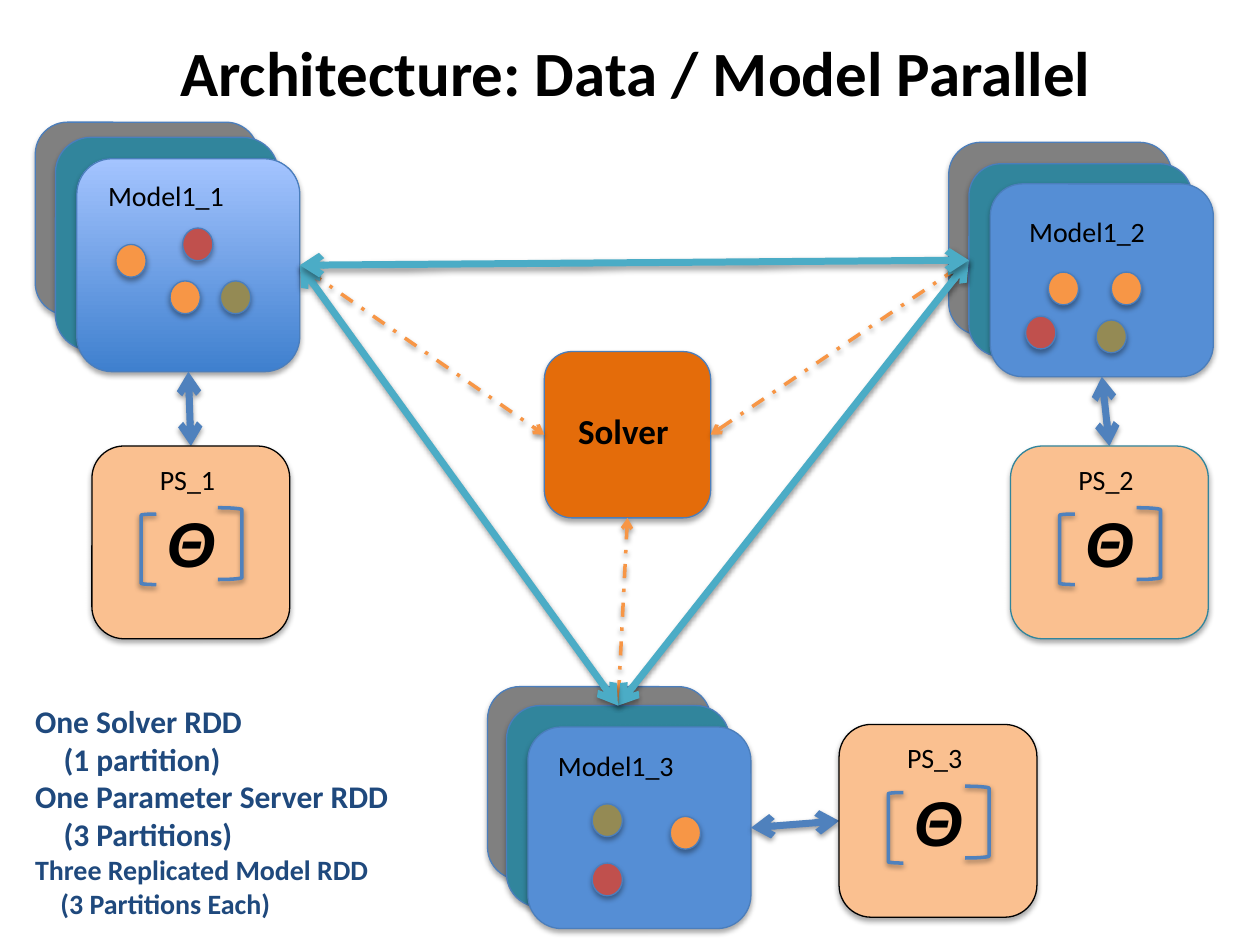
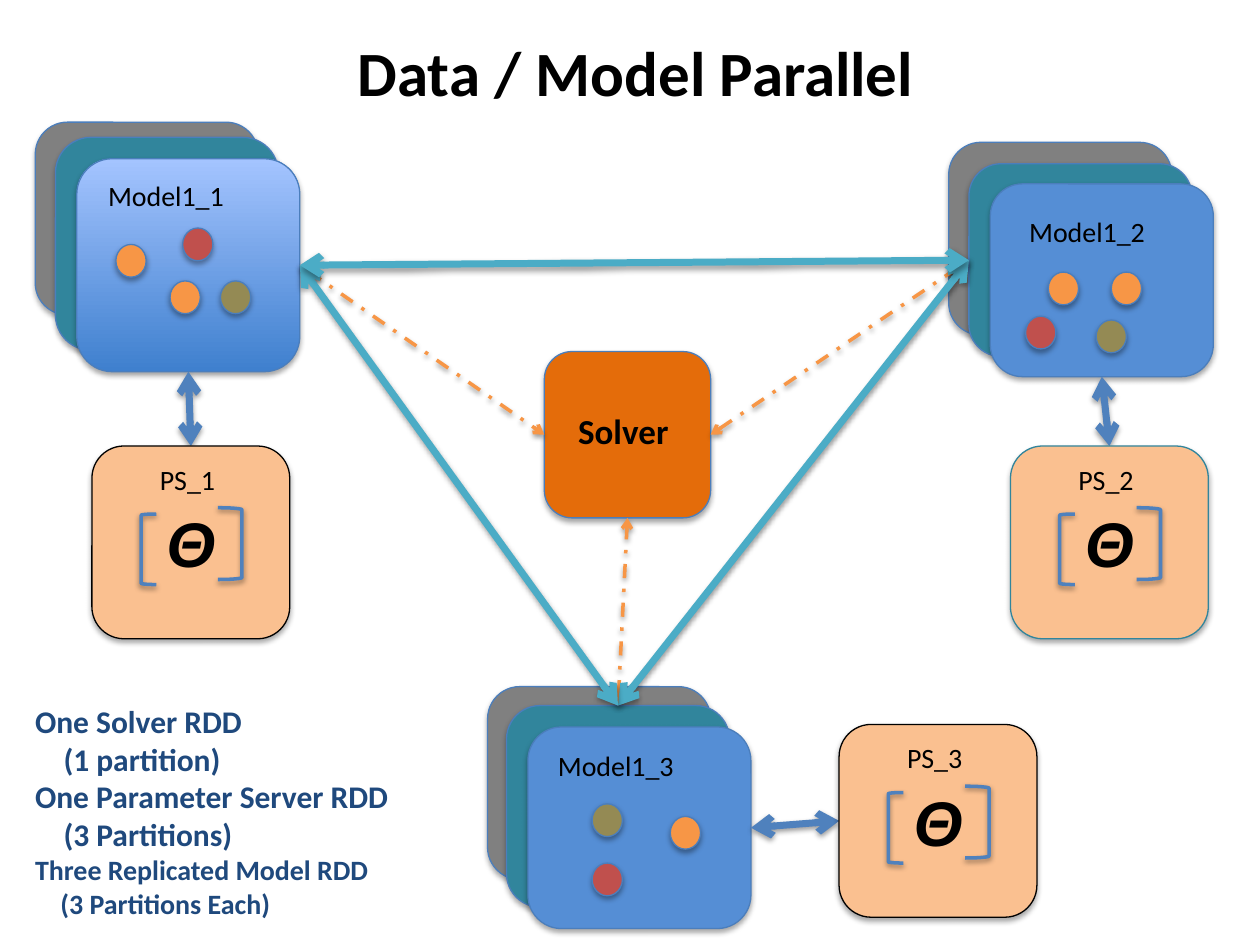
from dataclasses import dataclass

from lxml import etree
from pptx import Presentation
from pptx.dml.color import RGBColor
from pptx.enum.dml import MSO_LINE
from pptx.enum.shapes import MSO_CONNECTOR, MSO_SHAPE
from pptx.enum.text import MSO_ANCHOR, MSO_AUTO_SIZE, PP_ALIGN
from pptx.oxml.ns import qn
from pptx.util import Inches, Pt

ROUND, OVAL = MSO_SHAPE.ROUNDED_RECTANGLE, MSO_SHAPE.OVAL
LEFT_BRACKET, RIGHT_BRACKET = MSO_SHAPE.LEFT_BRACKET, MSO_SHAPE.RIGHT_BRACKET
STRAIGHT = MSO_CONNECTOR.STRAIGHT
DASH_DOT = MSO_LINE.DASH_DOT
MIDDLE, CENTER, LEFT = MSO_ANCHOR.MIDDLE, PP_ALIGN.CENTER, PP_ALIGN.LEFT
GROW = MSO_AUTO_SIZE.SHAPE_TO_FIT_TEXT


@dataclass(frozen=True)
class Theme:
    font: str = "Calibri"
    symbol_font: str = "Arial"
    black: str = "000000"
    navy: str = "1F497D"
    edge: str = "4B7EBC"
    gray: str = "808080"
    teal: str = "31859C"
    blue: str = "558ED5"
    gradient: tuple = ("3F80CE", "A4C4FF")
    solver: str = "E46C0A"
    peach: str = "FAC090"
    orange: str = "F79646"
    red: str = "C0504D"
    olive: str = "948A54"
    aqua: str = "4BACC6"
    steel: str = "4F81BD"
    title: int = 36
    solver_size: int = 20
    note: int = 18
    label: int = 16
    thin: float = 0.75
    medium: int = 2
    thick: int = 4


T = Theme()
COLUMNS = 100
TITLES = ["Architecture: Data / Model Parallel", "Data / Model Parallel"]
TITLE_RECT = (-1, -0.4, 102.9, 12.1)
NOTES_RECT = (1.8, 55.2, 33.1, 18.5)
NOTES = [
    ("One Solver RDD", T.note, 0),
    ("(1 partition)", T.note, 2.26),
    ("One Parameter Server RDD", T.note, 0),
    ("(3 Partitions)", T.note, 2.26),
    ("Three Replicated Model RDD", T.label, 0),
    ("(3 Partitions Each)", T.label, 2.01),
]
MODEL_WIDTH = 17.7
MODELS = {
    "Model1_1": {
        "sheets": [(2.8, 9.7, 15.3), (4.4, 10.9, 16.9), (6.1, 12.6, 16.9)],
        "front": T.gradient,
        "label": (1.5, 1.1),
        "dots": [(3.1, 6.8, T.orange), (7.4, 9.7, T.orange),
                 (8.4, 5.5, T.red), (11.4, 9.7, T.olive)],
    },
    "Model1_2": {
        "sheets": [(75.3, 11.3, 15.3), (76.9, 13, 15.3), (78.6, 14.6, 15.3)],
        "front": T.blue,
        "label": (2.1, 1.9),
        "dots": [(4.6, 7, T.orange), (9.6, 7, T.orange),
                 (2.8, 10.5, T.red), (8.4, 10.8, T.olive)],
    },
    "Model1_3": {
        "sheets": [(38.7, 54.5, 15.3), (40.2, 56, 16), (41.9, 57.7, 16)],
        "front": T.blue,
        "label": (1.4, 1.2),
        "dots": [(11.3, 7.1, T.orange), (5.1, 10.8, T.red),
                 (5.1, 6.1, T.olive)],
    },
}
MODEL_LABEL = (12.3, 3.7)
DOT = (2.4, 2.6)
SOLVER = (43.2, 27.9, 13.2, 13.2)
SOLVER_LABEL = (44.9, 32, 12.3, 4.4)
SERVER_SIZE = (15.7, 15.3)
SERVERS = {
    "PS_1": (7.3, 35.4, T.black),
    "PS_2": (80.2, 35.4, T.teal),
    "PS_3": (66.6, 57.5, T.black),
}
SERVER_LABEL = (4.4, 0.8, 9.2, 3.7)
BRACKETS = [(LEFT_BRACKET, (3.9, 5.4, 1.2, 5.6)),
            (RIGHT_BRACKET, (10, 4.9, 1.9, 5.7))]
SIDES = {"left": (0, 0.5), "right": (1, 0.5), "top": (0.5, 0), "bottom": (0.5, 1)}
LINE_STYLES = {
    "control": {"color": T.orange, "width": T.medium, "dash": DASH_DOT},
    "exchange": {"color": T.aqua, "width": T.thick},
    "parameters": {"color": T.steel, "width": T.thick},
}


def sheet_rect(name, depth):
    x, y, h = MODELS[name]["sheets"][depth]
    return x, y, MODEL_WIDTH, h


def server_rect(name):
    return (*SERVERS[name][:2], *SERVER_SIZE)


def shifted(base, rect):
    return (base[0] + rect[0], base[1] + rect[1], *rect[2:])


def side(rect, name):
    x, y, w, h = rect
    fx, fy = SIDES[name]
    return x + w * fx, y + h * fy


FIRST = side(sheet_rect("Model1_1", 2), "right")
SECOND = side(sheet_rect("Model1_2", 1), "left")
THIRD = side(sheet_rect("Model1_3", 1), "top")
LINKS = [
    ("control", side(SOLVER, "right"), SECOND),
    ("control", FIRST, side(SOLVER, "left")),
    ("control", THIRD, side(SOLVER, "bottom")),
    ("exchange", SECOND, THIRD),
    ("exchange", FIRST, THIRD),
    ("exchange", FIRST, SECOND),
] + [
    ("parameters", side(sheet_rect(model, 2), start), side(server_rect(server), end))
    for model, start, server, end in [
        ("Model1_3", "right", "PS_3", "left"),
        ("Model1_1", "bottom", "PS_1", "top"),
        ("Model1_2", "bottom", "PS_2", "top"),
    ]
]

prs = Presentation()
prs.slide_width, prs.slide_height = Inches(10), Inches(7.5)
CELL = prs.slide_width / COLUMNS


def grid(values):
    return [round(v * CELL) for v in values]


def add_shadow(effects, alpha, distance):
    shadow = etree.SubElement(effects, qn("a:outerShdw"), {
        "blurRad": str(Pt(3.1)), "dist": str(Pt(distance)),
        "dir": "5400000", "rotWithShape": "0"})
    color = etree.SubElement(shadow, qn("a:srgbClr"), val=T.black)
    etree.SubElement(color, qn("a:alpha"), val=str(alpha * 1000))


def add_part(s, kind, rect, fill=None, line=T.edge, width=T.thin, shadow=(35, 1.8)):
    sp = s.shapes.add_shape(kind, *grid(rect))
    if fill is None:
        sp.fill.background()
    elif isinstance(fill, tuple):
        sp.fill.gradient()
        sp.fill.gradient_angle = 90
        for stop, color in zip(sp.fill.gradient_stops, fill):
            stop.color.rgb = RGBColor.from_string(color)
    else:
        sp.fill.solid()
        sp.fill.fore_color.rgb = RGBColor.from_string(fill)
    sp.line.color.rgb = RGBColor.from_string(line)
    sp.line.width = Pt(width)
    sp.shadow.inherit = False
    add_shadow(sp._element.spPr.find(qn("a:effectLst")), *shadow)
    return sp


def write(p, text, size, color=T.black, align=LEFT, **formats):
    p.alignment = align
    r = p.add_run()
    r.text = text
    r.font.color.rgb = RGBColor.from_string(color)
    for name, value in {"name": T.font, "size": Pt(size), **formats}.items():
        setattr(r.font, name, value)


def add_text_box(s, rect, **settings):
    tf = s.shapes.add_textbox(*grid(rect)).text_frame
    for name, value in {"word_wrap": True, **settings}.items():
        setattr(tf, name, value)
    return tf


def add_label(s, rect, text, size=T.label, **formats):
    tf = add_text_box(s, rect, auto_size=GROW)
    write(tf.paragraphs[0], text, size, **formats)


def add_link(s, style, start, end):
    line = s.shapes.add_connector(STRAIGHT, *grid(start + end))
    look = LINE_STYLES[style]
    line.line.color.rgb = RGBColor.from_string(look["color"])
    line.line.width = Pt(look["width"])
    if "dash" in look:
        line.line.dash_style = look["dash"]
    ln = line.line._get_or_add_ln()
    for end_tag in ("a:headEnd", "a:tailEnd"):
        etree.SubElement(ln, qn(end_tag), type="arrow")
    effects = etree.SubElement(line._element.spPr, qn("a:effectLst"))
    add_shadow(effects, 38, 1.6)


def add_model_sheets(s, name):
    fills = (T.gray, T.teal, MODELS[name]["front"])
    for depth, fill in enumerate(fills):
        add_part(s, ROUND, sheet_rect(name, depth), fill)


def add_model_content(s, name):
    front = sheet_rect(name, 2)
    add_label(s, shifted(front, MODELS[name]["label"] + MODEL_LABEL), name)
    for x, y, color in MODELS[name]["dots"]:
        add_part(s, OVAL, shifted(front, (x, y) + DOT), color)


def add_server(s, name):
    rect = server_rect(name)
    sp = add_part(s, ROUND, rect, T.peach, SERVERS[name][2])
    tf = sp.text_frame
    tf.vertical_anchor = MIDDLE
    write(tf.paragraphs[0], "Θ", T.title, align=CENTER,
          name=T.symbol_font, bold=True, italic=True)
    for kind, place in BRACKETS:
        add_part(s, kind, shifted(rect, place), line=T.steel,
                 width=T.medium, shadow=(38, 1.6))
    add_label(s, shifted(rect, SERVER_LABEL), name)


def add_notes_text(s):
    tf = add_text_box(s, NOTES_RECT, auto_size=GROW)
    for i, (text, size, indent) in enumerate(NOTES):
        p = tf.add_paragraph() if i else tf.paragraphs[0]
        write(p, text, size, T.navy, bold=True)
        p._p.get_or_add_pPr().set("marL", str(round(indent * CELL)))


def add_architecture(title):
    s = prs.slides.add_slide(prs.slide_layouts[6])
    tf = add_text_box(s, TITLE_RECT, vertical_anchor=MIDDLE)
    write(tf.paragraphs[0], title, T.title, align=CENTER, bold=True)
    for name in MODELS:
        add_model_sheets(s, name)
    add_part(s, ROUND, SOLVER, T.solver)
    for link in LINKS:
        add_link(s, *link)
    add_label(s, SOLVER_LABEL, "Solver", T.solver_size, bold=True)
    for name in MODELS:
        add_model_content(s, name)
    for name in SERVERS:
        add_server(s, name)
    add_notes_text(s)


for title in TITLES:
    add_architecture(title)
prs.save("out.pptx")
